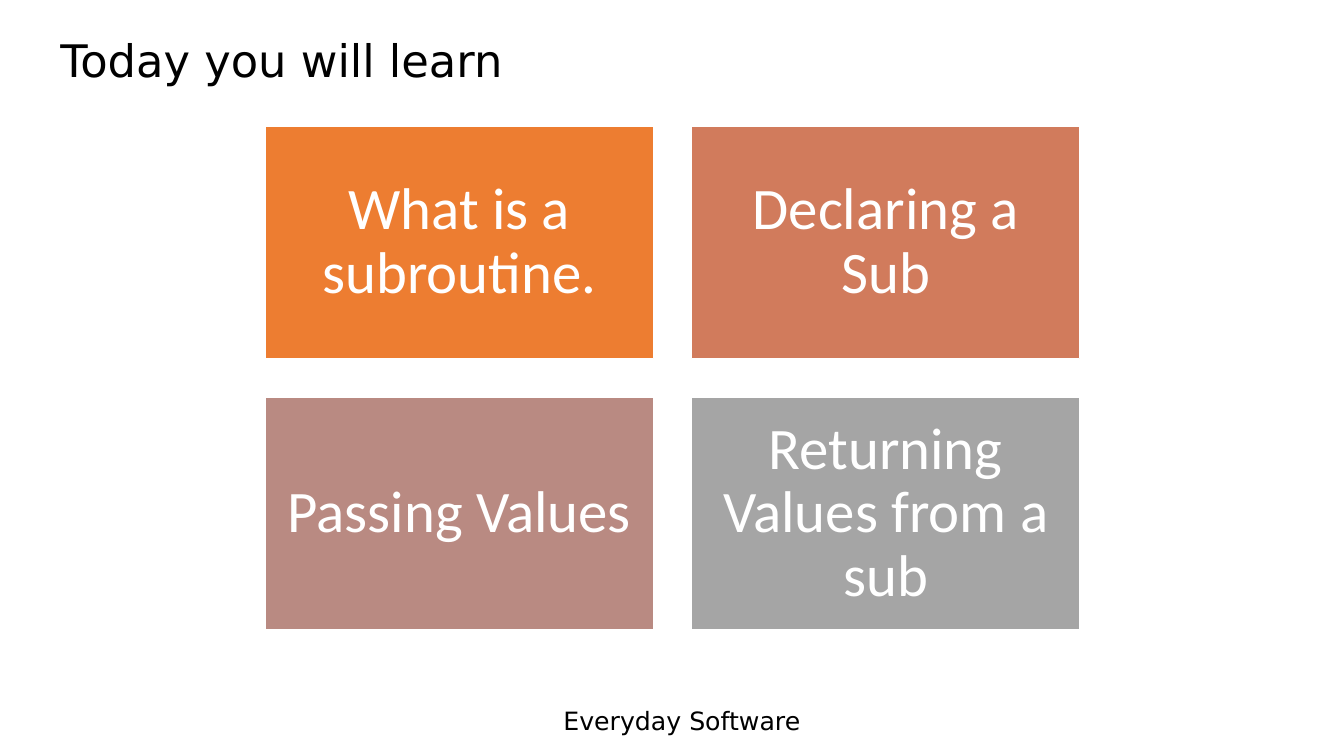
"""Build the lesson agenda slide with four topic tiles."""
from pptx import Presentation
from pptx.dml.color import RGBColor
from pptx.enum.shapes import MSO_SHAPE
from pptx.enum.text import MSO_ANCHOR, PP_ALIGN
from pptx.util import Inches, Pt

TITLE = "Today you will learn"
FOOTER = "Everyday Software"
TOPICS = [
    ("What is a subroutine.", "orange"),
    ("Declaring a Sub", "terracotta"),
    ("Passing Values", "rose"),
    ("Returning Values from a sub", "gray"),
]
COLORS = {
    "orange": "ED7D31",
    "terracotta": "D17B5C",
    "rose": "B98A82",
    "gray": "A5A5A5",
    "white": "FFFFFF",
    "black": "000000",
}
COLUMNS = 2
GRID_LEFT, GRID_TOP = 2.63, 1.25
TILE_WIDTH, TILE_HEIGHT = 3.85, 2.31
GAP = 0.38
COLUMN_STEP, ROW_STEP = TILE_WIDTH + GAP, TILE_HEIGHT + GAP
MARGINS = ("margin_left", "margin_top", "margin_right", "margin_bottom")


def color(name):
    """Return the named palette color."""
    return RGBColor.from_string(COLORS[name])


def write(shape, text, font_format, font_color, frame_format, paragraph_format):
    """Put one formatted paragraph into a shape."""
    frame = shape.text_frame
    frame.text = text
    paragraph = frame.paragraphs[0]
    font = paragraph.runs[0].font
    font.color.rgb = color(font_color)
    for target, values in (
        (font, font_format),
        (frame, frame_format),
        (paragraph, paragraph_format),
    ):
        for name, value in values.items():
            setattr(target, name, value)


def add_tile(slide, index, text, fill):
    """Add one topic tile at its place in the grid."""
    row, column = divmod(index, COLUMNS)
    tile = slide.shapes.add_shape(
        MSO_SHAPE.RECTANGLE,
        Inches(GRID_LEFT + column * COLUMN_STEP),
        Inches(GRID_TOP + row * ROW_STEP),
        Inches(TILE_WIDTH),
        Inches(TILE_HEIGHT),
    )
    tile.shadow.inherit = False
    tile.fill.solid()
    tile.fill.fore_color.rgb = color(fill)
    tile.line.color.rgb = color("white")
    tile.line.width = Pt(1)
    frame_format = {name: Inches(0.17) for name in MARGINS}
    frame_format |= {"word_wrap": True, "vertical_anchor": MSO_ANCHOR.MIDDLE}
    write(tile, text, {"name": "Calibri", "size": Pt(42)}, "white", frame_format,
          {"alignment": PP_ALIGN.CENTER, "line_spacing": 0.9})


def main():
    """Create and save the presentation."""
    presentation = Presentation()
    presentation.slide_width = Inches(13.33)
    presentation.slide_height = Inches(7.5)
    slide = presentation.slides.add_slide(presentation.slide_layouts[5])

    title = slide.shapes.title
    title.left, title.top = Inches(0.5), Inches(0.15)
    title.width, title.height = Inches(11.91), Inches(0.95)
    write(title, TITLE, {"name": "DejaVu Sans", "size": Pt(32)}, "black",
          {"vertical_anchor": MSO_ANCHOR.MIDDLE},
          {"alignment": PP_ALIGN.LEFT, "line_spacing": 0.9})

    for index, (text, fill) in enumerate(TOPICS):
        add_tile(slide, index, text, fill)

    footer = slide.shapes.add_textbox(Inches(5.49), Inches(6.95), Inches(2.9), Inches(0.4))
    write(footer, FOOTER, {"name": "DejaVu Sans", "size": Pt(18)}, "black",
          {"word_wrap": True}, {"alignment": PP_ALIGN.LEFT})

    presentation.save("out.pptx")


if __name__ == "__main__":
    main()
